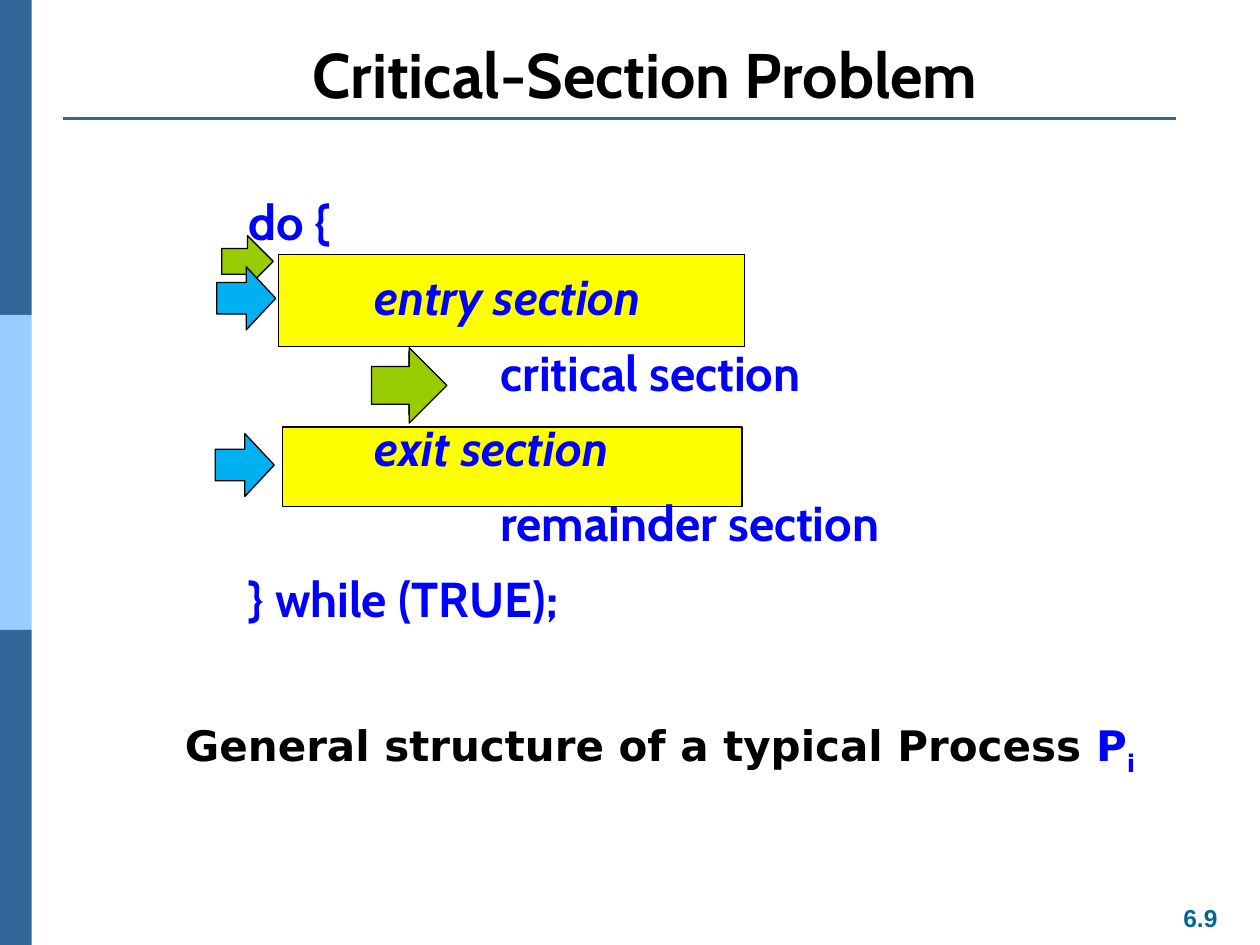
import pptx
import pptx.dml.color
import pptx.enum.shapes
import pptx.enum.text
import pptx.oxml.ns
import pptx.util
from lxml import etree

Cm = pptx.util.Cm
Pt = pptx.util.Pt
SHAPE = pptx.enum.shapes.MSO_SHAPE
ALIGN = pptx.enum.text.PP_ALIGN
ANCHOR = pptx.enum.text.MSO_ANCHOR

DARK, LIGHT, BLACK, BLUE = "336699", "99CCFF", "000000", "0000FF"
YELLOW, GREEN, SKY = "FFFF00", "99CC00", "00B0F0"

# All places are left, top, width, height in cm.
BAND_WIDTH, BAND_HEIGHT = 0.64, 6.35
BANDS = [DARK, LIGHT, DARK]
SECTION_BOXES = [(5.69, 8.61, 9.27, 1.6), (5.61, 5.13, 9.4, 1.85)]
ARROWS = [
    (GREEN, (4.47, 4.75, 1.04, 1.04)),
    (SKY, (4.37, 5.38, 1.19, 1.27)),
    (SKY, (7.65, 7.09, 1.19, 1.27)),
    (SKY, (4.34, 8.74, 1.19, 1.27)),
    (GREEN, (7.49, 7.01, 1.52, 1.52)),
]

# Code lines: indent level, wording, italic
CODE = [
    (0, "do {", False),
    (1, "entry section", True),
    (2, "critical section", False),
    (1, "exit section", True),
    (2, "remainder section", False),
    (0, "} while (TRUE);", False),
]
CODE_MARGIN, CODE_STEP = 0.92, 2.54

TITLE_FONT = {"name": "Cabin", "size": Pt(36), "bold": True}
CODE_FONT = {"name": "Cabin", "size": Pt(28), "bold": True}
CAPTION_FONT = {"name": "DejaVu Sans", "size": Pt(24), "bold": True}
NUMBER_FONT = {"name": "Arial", "size": Pt(14), "bold": True}


def rgb(value):
    return pptx.dml.color.RGBColor.from_string(value)


def add_block(page, kind, place, fill, outline=None):
    shape = page.shapes.add_shape(kind, *map(Cm, place))
    shape.shadow.inherit = False
    shape.fill.solid()
    shape.fill.fore_color.rgb = rgb(fill)
    if outline:
        shape.line.color.rgb = rgb(outline)
        shape.line.width = Pt(0.75)
    else:
        shape.line.fill.background()


def add_rule(page, left, right, top):
    rule = page.shapes.add_connector(
        pptx.enum.shapes.MSO_CONNECTOR.STRAIGHT, Cm(left), Cm(top), Cm(right), Cm(top))
    rule.line.color.rgb = rgb(DARK)
    rule.line.width = Pt(1.5)
    etree.SubElement(rule._element.spPr, pptx.oxml.ns.qn("a:effectLst"))


def add_frame(page, place, wrap=True, anchor=ANCHOR.TOP):
    frame = page.shapes.add_textbox(*map(Cm, place)).text_frame
    frame.word_wrap = wrap
    frame.vertical_anchor = anchor
    return frame


def add_span(para, text, style, color):
    span = para.add_run()
    span.text = text
    for name, value in style.items():
        setattr(span.font, name, value)
    span.font.color.rgb = rgb(color)
    return span


def add_code(page):
    frame = add_frame(page, (3.84, 3.73, 18.54, 12.27))
    for index, (level, text, italic) in enumerate(CODE):
        para = frame.add_paragraph() if index else frame.paragraphs[0]
        para.space_before = Pt(9.5 if index else 0)
        margin = Cm(CODE_MARGIN + level * CODE_STEP)
        para._p.get_or_add_pPr().set("marL", str(int(margin)))
        add_span(para, text, {**CODE_FONT, "italic": italic}, BLUE)


def main():
    deck = pptx.Presentation()
    deck.slide_width, deck.slide_height = Cm(25.4), Cm(19.05)
    page = deck.slides.add_slide(deck.slide_layouts[6])

    for index, color in enumerate(BANDS):
        place = (0, index * BAND_HEIGHT, BAND_WIDTH, BAND_HEIGHT)
        add_block(page, SHAPE.RECTANGLE, place, color)
    add_rule(page, 1.27, 23.7, 2.39)

    number = add_frame(page, (23.44, 18.08, 1.52, 0.86), wrap=False).paragraphs[0]
    number.alignment = ALIGN.CENTER
    add_span(number, "6.9", NUMBER_FONT, "006699")

    for place in SECTION_BOXES:
        add_block(page, SHAPE.RECTANGLE, place, YELLOW, BLACK)
    add_code(page)

    title = add_frame(page, (1.57, 0.76, 22.86, 1.6), anchor=ANCHOR.BOTTOM).paragraphs[0]
    title.alignment = ALIGN.CENTER
    add_span(title, "Critical-Section Problem", TITLE_FONT, BLACK)

    caption = add_frame(page, (3.48, 14.38, 19.71, 1.3), wrap=False).paragraphs[0]
    add_span(caption, "General structure of a typical Process ", CAPTION_FONT, BLACK)
    add_span(caption, "P", CAPTION_FONT, BLUE)
    subscript = add_span(caption, "i", CAPTION_FONT, BLUE)
    subscript._r.get_or_add_rPr().set("baseline", "-25000")

    for color, place in ARROWS:
        add_block(page, SHAPE.RIGHT_ARROW, place, color, BLACK)

    deck.save("out.pptx")


if __name__ == "__main__":
    main()
